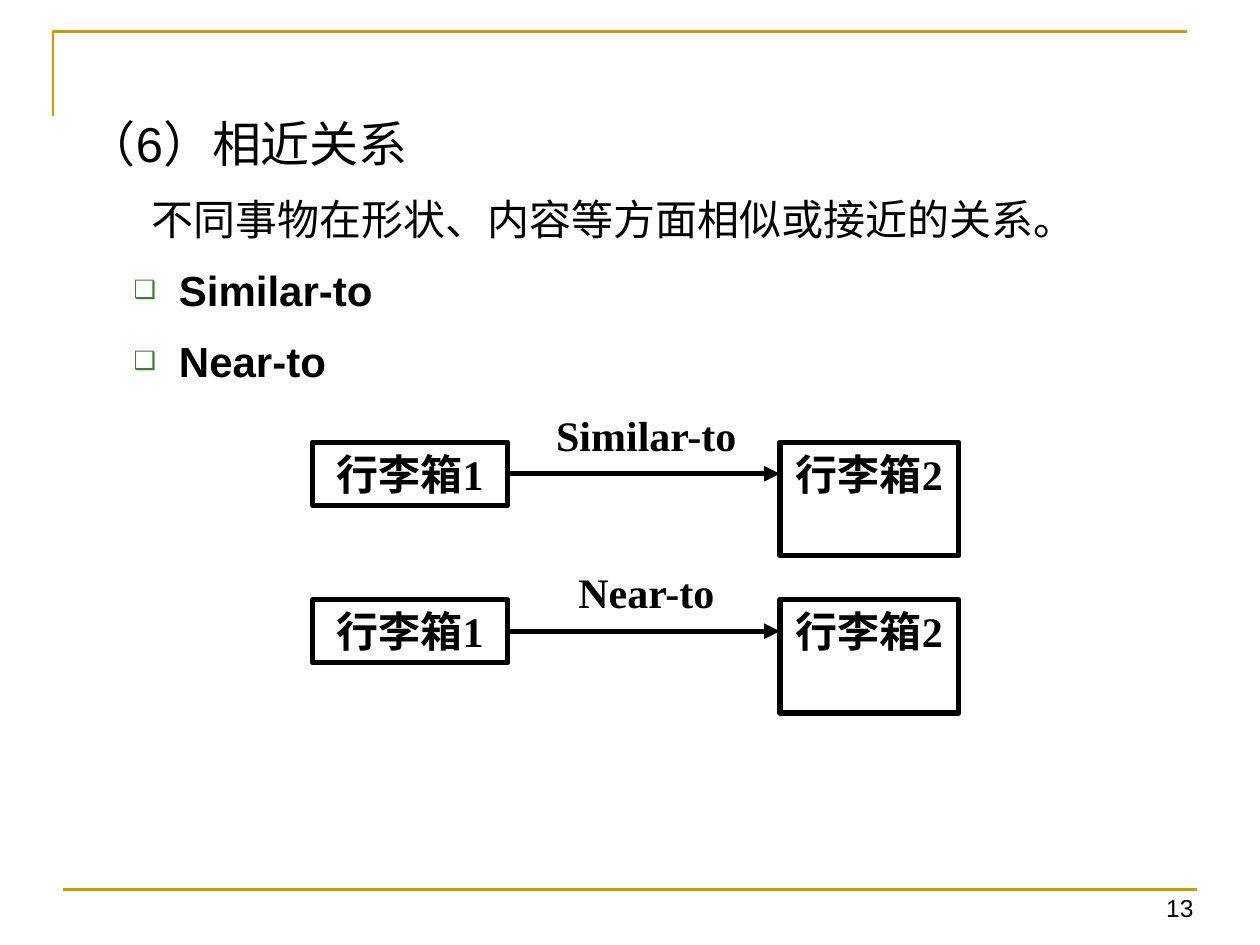
"""Build the slide on the "similar" relation between things."""
from dataclasses import dataclass
from typing import Optional

from lxml.etree import SubElement
from pptx import Presentation
from pptx.dml.color import RGBColor
from pptx.enum.shapes import MSO_CONNECTOR, MSO_SHAPE
from pptx.enum.text import MSO_ANCHOR, MSO_AUTO_SIZE as AutoSize, PP_ALIGN as Align
from pptx.oxml.ns import qn
from pptx.util import Inches, Pt

COLORS = {"text": "000000", "rule": "CC9900", "bullet": "3B812F"}
SANS, SERIF = "Arial", "Times New Roman"
ROW_TOP, ROW_STEP = 3.51, 1.25
BOX_LEFT, BOX_RIGHT = 2.48, 6.19
BOX_WIDTH, BOX_HEIGHT = 1.55, 0.5


@dataclass
class Point:
    text: str
    size: int
    margin: float
    indent: float
    before: int = 6
    bullet: Optional[str] = None


@dataclass
class Relation:
    label: str
    source: str
    target: str


POINTS = [
    Point("（6）相近关系", 28, 0.38, -0.38, before=0),
    Point("不同事物在形状、内容等方面相似或接近的关系。", 24, 0.51, 0),
    Point("Similar-to", 24, 0.73, -0.36, bullet="❑"),
    Point("Near-to", 24, 0.73, -0.36, bullet="❑"),
]
RELATIONS = [
    Relation("Similar-to", "行李箱1", "行李箱2"),
    Relation("Near-to", "行李箱1", "行李箱2"),
]


def color(name: str) -> RGBColor:
    return RGBColor.from_string(COLORS[name])


def style_runs(paragraph, size: int, face: str, bold: bool = False) -> None:
    for run in paragraph.runs:
        run.font.size = Pt(size)
        run.font.name = face
        run.font.bold = bold
        run.font.color.rgb = color("text")


def set_line(shape, name: str, width: float) -> None:
    shape.line.color.rgb = color(name)
    shape.line.width = Pt(width)


def write(shape, text: str, size: int, face: str, align: Align, bold: bool) -> None:
    frame = shape.text_frame
    frame.word_wrap = True
    frame.auto_size = AutoSize.SHAPE_TO_FIT_TEXT
    frame.vertical_anchor = MSO_ANCHOR.TOP
    frame.text = text
    frame.paragraphs[0].alignment = align
    style_runs(frame.paragraphs[0], size, face, bold)


def add_label(slide, text: str, left: float, top: float, width: float, height: float,
              size: int = 24, face: str = SERIF, align: Align = Align.CENTER,
              bold: bool = True) -> None:
    label = slide.shapes.add_textbox(Inches(left), Inches(top), Inches(width), Inches(height))
    write(label, text, size, face, align, bold)


def add_box(slide, text: str, left: float, top: float, width: float, height: float) -> None:
    box = slide.shapes.add_shape(MSO_SHAPE.RECTANGLE, Inches(left), Inches(top),
                                 Inches(width), Inches(height))
    box.shadow.inherit = False
    box.fill.background()
    set_line(box, "text", 3)
    write(box, text, 24, SERIF, Align.CENTER, True)


def add_rule(slide, x1: float, x2: float, y: float, name: str, width: float,
             arrow: bool = False) -> None:
    rule = slide.shapes.add_connector(MSO_CONNECTOR.STRAIGHT, Inches(x1), Inches(y),
                                      Inches(x2), Inches(y))
    set_line(rule, name, width)
    if arrow:
        SubElement(rule.line._get_or_add_ln(), qn("a:tailEnd"), type="triangle")
    SubElement(rule.element.spPr, qn("a:effectLst"))


def add_corner(slide) -> None:
    builder = slide.shapes.build_freeform(Inches(0.42), Inches(0.92))
    builder.add_line_segments([(Inches(0.42), Inches(0.25)), (Inches(9.42), Inches(0.25))],
                              close=False)
    corner = builder.convert_to_shape()
    corner.shadow.inherit = False
    corner.fill.background()
    set_line(corner, "rule", 1.5)


def format_point(paragraph, point: Point) -> None:
    paragraph.text = point.text
    paragraph.level = 1 if point.bullet else 0
    paragraph.alignment = Align.LEFT
    paragraph.line_spacing = 1.2
    paragraph.space_before = Pt(point.before)
    props = paragraph._p.get_or_add_pPr()
    props.set("marL", str(Inches(point.margin)))
    props.set("indent", str(Inches(point.indent)))
    if point.bullet:
        tint = SubElement(props, qn("a:buClr"))
        SubElement(tint, qn("a:srgbClr"), val=COLORS["bullet"])
        SubElement(props, qn("a:buSzPct"), val="60000")
        SubElement(props, qn("a:buChar"), char=point.bullet)
    else:
        SubElement(props, qn("a:buNone"))
    style_runs(paragraph, point.size, SANS, bool(point.bullet))


def fill_body(body) -> None:
    body.left, body.top = Inches(0.59), Inches(0.76)
    body.width, body.height = Inches(8.5), Inches(5.83)
    frame = body.text_frame
    frame.auto_size = AutoSize.NONE
    frame.text = "\n".join(point.text for point in POINTS)
    for paragraph, point in zip(frame.paragraphs, POINTS):
        format_point(paragraph, point)


def add_relation(slide, relation: Relation, top: float) -> None:
    add_box(slide, relation.source, BOX_LEFT, top, BOX_WIDTH, BOX_HEIGHT)
    add_box(slide, relation.target, BOX_RIGHT, top, 1.42, 0.9)
    add_rule(slide, BOX_LEFT + BOX_WIDTH, BOX_RIGHT, top + BOX_HEIGHT / 2, "text", 3, arrow=True)
    add_label(slide, relation.label, 4.13, top - 0.31, 2, 0.5)


def main() -> None:
    deck = Presentation()
    deck.slide_width, deck.slide_height = Inches(10), Inches(7.5)
    slide = deck.slides.add_slide(deck.slide_layouts[1])
    unused_title = slide.shapes.title.element
    unused_title.getparent().remove(unused_title)
    add_corner(slide)
    add_rule(slide, 0.5, 9.5, 7.06, "rule", 1.5)
    add_label(slide, "13", 8.55, 7.04, 1.02, 0.34, 14, SANS, Align.RIGHT, False)
    fill_body(slide.placeholders[1])
    for row, relation in enumerate(RELATIONS):
        add_relation(slide, relation, ROW_TOP + row * ROW_STEP)
    deck.save("out.pptx")


if __name__ == "__main__":
    main()
